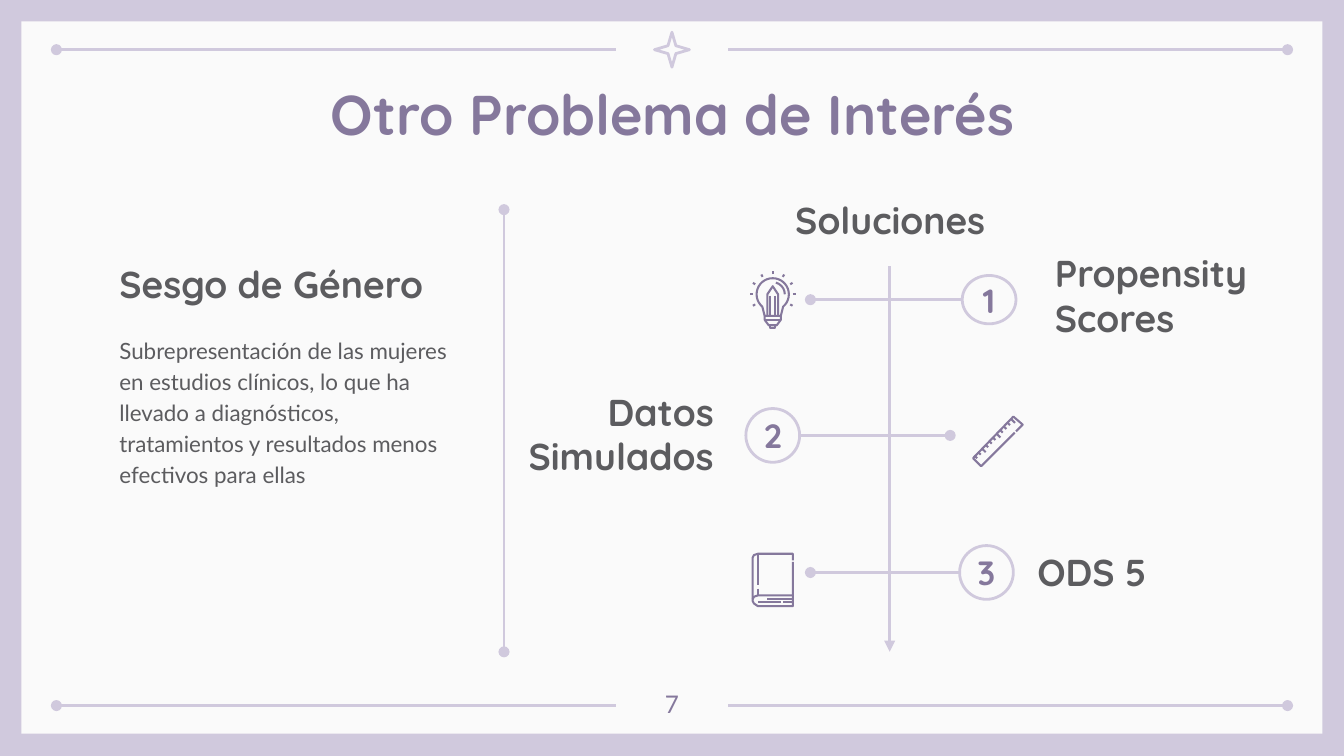
from math import cos, radians, sin

from lxml.etree import SubElement
from pptx import Presentation
from pptx.dml.color import RGBColor
from pptx.enum.shapes import MSO_CONNECTOR, MSO_SHAPE
from pptx.enum.text import MSO_ANCHOR, PP_ALIGN
from pptx.oxml.ns import qn
from pptx.util import Inches, Pt

COLORS = {"lilac": "D0C9DD", "paper": "FAFAFA", "purple": "85789C", "gray": "5C5C5F"}
HEADING = {"size": 20, "bold": True, "anchor": MSO_ANCHOR.BOTTOM}


def color(name):
    """Return a palette color."""
    return RGBColor.from_string(COLORS[name])


def write(shape, text, size=18, font="Quicksand", ink="gray", bold=False,
          align=PP_ALIGN.LEFT, anchor=MSO_ANCHOR.TOP, side=0.1, spacing=None):
    """Put formatted text into a shape."""
    frame = shape.text_frame
    frame.word_wrap = True
    frame.vertical_anchor = anchor
    frame.margin_left = frame.margin_right = Inches(side)
    frame.margin_top = frame.margin_bottom = Inches(0.1)
    paragraph = frame.paragraphs[0]
    paragraph.alignment = align
    paragraph.line_spacing = spacing
    run = paragraph.add_run()
    run.text = text
    run.font.name = font
    run.font.size = Pt(size)
    run.font.bold = bold
    run.font.color.rgb = color(ink)


def add_text(slide, box, text, **style):
    """Add a text box."""
    write(slide.shapes.add_textbox(*map(Inches, box)), text, **style)


def style_shape(shape, fill=None, line=None, width=1.5):
    """Set fill and outline, and drop the shadow."""
    shape.shadow.inherit = False
    if fill:
        shape.fill.solid()
        shape.fill.fore_color.rgb = color(fill)
    else:
        shape.fill.background()
    if line:
        shape.line.color.rgb = color(line)
        shape.line.width = Pt(width)
    else:
        shape.line.fill.background()


def add_preset(slide, preset, box, **style):
    """Add a preset shape."""
    shape = slide.shapes.add_shape(preset, *map(Inches, box))
    style_shape(shape, **style)
    return shape


def add_rule(slide, start, end, head=None, tail=None):
    """Add a straight line with optional end marks."""
    rule = slide.shapes.add_connector(MSO_CONNECTOR.STRAIGHT, *map(Inches, start + end))
    rule.line.color.rgb = color("lilac")
    rule.line.width = Pt(1.5)
    properties = rule.line._get_or_add_ln()
    for tag, mark in (("a:headEnd", head), ("a:tailEnd", tail)):
        if mark:
            SubElement(properties, qn(tag), type=mark)
    SubElement(rule._element.spPr, qn("a:effectLst"))


def add_icon(slide, strokes):
    """Draw an icon as one outline made of several strokes."""
    first = strokes[0][0]
    builder = slide.shapes.build_freeform(Inches(first[0]), Inches(first[1]))
    for start, *rest in strokes:
        builder.move_to(Inches(start[0]), Inches(start[1]))
        builder.add_line_segments([(Inches(x), Inches(y)) for x, y in rest], close=False)
    style_shape(builder.convert_to_shape(), line="purple", width=1.1)


def polar(center, radius, angle):
    """Return the point at an angle in degrees around a center."""
    return (center[0] + radius * cos(radians(angle)), center[1] + radius * sin(radians(angle)))


def add_bulb(slide):
    """Draw the light bulb with a pencil inside."""
    center = (5.75, 2.19)
    glass = [polar(center, 0.12, angle) for angle in range(130, 411, 10)]
    base = [(5.69, 2.35), (5.81, 2.35), (5.81, 2.38), (5.78, 2.42),
            (5.72, 2.42), (5.69, 2.38), (5.69, 2.35)]
    strokes = [
        [(5.69, 2.35)] + glass + [(5.81, 2.35)],
        base,
        [(5.69, 2.38), (5.81, 2.38)],
        [(5.73, 2.42), (5.73, 2.44), (5.77, 2.44), (5.77, 2.42)],
        [(5.71, 2.35), (5.71, 2.19), (5.75, 2.13), (5.79, 2.19), (5.79, 2.35)],
        [polar(center, 0.09, angle) for angle in range(-75, 1, 15)],
    ]
    strokes += [[(x, 2.2), (x, 2.35)] for x in (5.73, 5.77)]
    strokes += [[polar(center, 0.15, angle), polar(center, 0.17, angle)]
                for angle in range(150, 391, 30)]
    add_icon(slide, strokes)


def add_ruler(slide):
    """Draw the slanted ruler with its marks."""
    strokes = [[(7.55, 3.22), (7.3, 3.47), (7.24, 3.41), (7.54, 3.1), (7.61, 3.16), (7.56, 3.21)]]
    for mark in range(11):
        shift = 0.3 * mark / 11
        x, y = 7.25 + shift, 3.39 - shift
        length = 0.03 if mark % 4 == 2 else 0.02
        strokes.append([(x, y), (x + length, y + length)])
    add_icon(slide, strokes)


def add_book(slide):
    """Draw the closed book."""
    add_icon(slide, [
        [(5.9, 4.17), (5.9, 4.12), (5.64, 4.12), (5.61, 4.13), (5.6, 4.15), (5.6, 4.47),
         (5.61, 4.49), (5.64, 4.51), (5.9, 4.51), (5.9, 4.18)],
        [(5.64, 4.12), (5.64, 4.35)],
        [(5.64, 4.38), (5.64, 4.43)],
        [(5.6, 4.46), (5.61, 4.44), (5.64, 4.43), (5.9, 4.43)],
        [(5.71, 4.46), (5.89, 4.46)],
        [(5.64, 4.48), (5.81, 4.48)],
        [(5.83, 4.48), (5.89, 4.48)],
    ])


def add_frame(slide):
    """Add the background, the paper and its ornaments."""
    slide.background.fill.solid()
    slide.background.fill.fore_color.rgb = color("lilac")
    add_preset(slide, MSO_SHAPE.RECTANGLE, (0.16, 0.16, 9.68, 5.3), fill="paper")
    for y in (0.37, 5.25):
        add_rule(slide, (0.42, y), (4.58, y), head="oval")
        add_rule(slide, (5.42, y), (9.58, y), tail="oval")
    star = add_preset(slide, MSO_SHAPE.STAR_4_POINT, (4.87, 0.24, 0.26, 0.26), line="lilac")
    star.adjustments[0] = 0.16


def add_solution(slide, number, circle, dot, name, box, align=PP_ALIGN.LEFT):
    """Add a numbered circle, its branch and its name."""
    left, top, width, height = circle
    badge = add_preset(slide, MSO_SHAPE.OVAL, circle, line="lilac")
    write(badge, number, ink="purple", bold=True, align=PP_ALIGN.CENTER,
          anchor=MSO_ANCHOR.MIDDLE, side=0)
    edge = left if dot < left else left + width
    middle = top + height / 2
    add_rule(slide, (edge, middle), (dot, middle), tail="oval")
    add_text(slide, box, name, align=align, **HEADING)


def main():
    """Build and save the slide."""
    deck = Presentation()
    deck.slide_width = Inches(10)
    deck.slide_height = deck.slide_width * 9 // 16
    slide = deck.slides.add_slide(deck.slide_layouts[6])
    add_frame(slide)
    add_text(slide, (0.79, 0.49, 8.43, 0.63), "Otro Problema de Interés", size=30,
             ink="purple", bold=True, align=PP_ALIGN.CENTER)
    add_text(slide, (0.79, 1.85, 2.8, 0.53), "Sesgo de Género", **HEADING)
    add_text(slide, (0.79, 2.38, 2.8, 1.53),
             "Subrepresentación de las mujeres en estudios clínicos, lo que ha llevado a "
             "diagnósticos, tratamientos y resultados menos efectivos para ellas",
             size=12, font="Lato", spacing=1.15)
    add_rule(slide, (3.75, 1.56), (3.75, 4.85), head="oval", tail="oval")
    add_text(slide, (5.79, 1.49, 1.67, 0.41), "Soluciones", align=PP_ALIGN.CENTER, **HEADING)
    add_rule(slide, (6.62, 1.98), (6.62, 4.85), tail="triangle")
    add_solution(slide, "1", (7.16, 2.05, 0.4, 0.36), 6.03,
                 "Propensity Scores", (7.75, 2.18, 2.01, 0.45))
    add_solution(slide, "2", (5.55, 3.04, 0.4, 0.4), 7.07,
                 "Datos Simulados", (3.81, 3.21, 1.6, 0.45), align=PP_ALIGN.RIGHT)
    add_solution(slide, "3", (7.14, 4.06, 0.4, 0.4), 6.03, "ODS 5", (7.62, 4.07, 2.01, 0.45))
    add_bulb(slide)
    add_ruler(slide)
    add_book(slide)
    add_text(slide, (4.7, 5.03, 0.6, 0.36), "7", size=13, font="Lato", ink="purple",
             align=PP_ALIGN.CENTER)
    deck.save("out.pptx")


if __name__ == "__main__":
    main()
